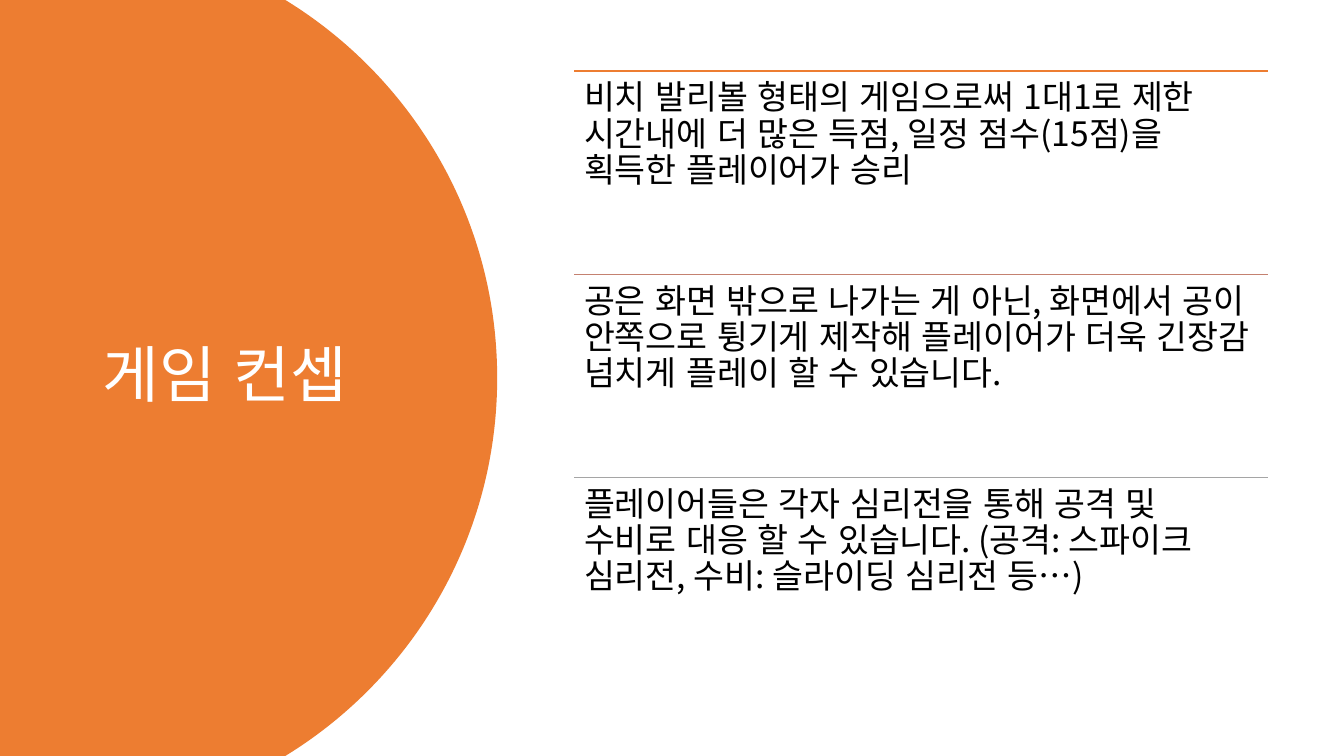
import pptx
import pptx.dml.color
import pptx.enum.lang
import pptx.enum.shapes
import pptx.enum.text
import pptx.oxml.ns
import pptx.util
from lxml import etree

Cm = pptx.util.Cm
RGBColor = pptx.dml.color.RGBColor
qn = pptx.oxml.ns.qn

ORANGE = RGBColor(0xED, 0x7D, 0x31)
CLAY = RGBColor(0xC4, 0x81, 0x70)
GRAY = RGBColor(0xA5, 0xA5, 0xA5)
WHITE = RGBColor(0xFF, 0xFF, 0xFF)
BLACK = RGBColor(0x00, 0x00, 0x00)
FONT = "Noto Sans CJK KR"

HEADING = "게임 컨셉"
CONCEPTS = [
    ("비치 발리볼 형태의 게임으로써 1대1로 제한 시간내에 더 많은 득점, "
     "일정 점수(15점)을 획득한 플레이어가 승리", ORANGE),
    ("공은 화면 밖으로 나가는 게 아닌, 화면에서 공이 안쪽으로 튕기게 제작해 "
     "플레이어가 더욱 긴장감 넘치게 플레이 할 수 있습니다.", CLAY),
    ("플레이어들은 각자 심리전을 통해 공격 및 수비로 대응 할 수 있습니다. "
     "(공격: 스파이크 심리전, 수비: 슬라이딩 심리전 등…)", GRAY),
]

WIDTH, HEIGHT = 33.87, 19.05
UPPER_CURVE = [(7.19, 0), (10.39, 1.96), (12.53, 5.49)]
CURVE_TIP = (12.53, HEIGHT / 2)
LIST_LEFT, LIST_TOP, LIST_WIDTH, ROW_HEIGHT = 14.47, 1.79, 17.48, 5.12
INSET = 0.25


def write(frame, text, size, color):
    """Put one formatted paragraph into a text frame."""
    frame.word_wrap = True
    frame.auto_size = pptx.enum.text.MSO_AUTO_SIZE.NONE
    frame.text = text
    paragraph = frame.paragraphs[0]
    paragraph.alignment = pptx.enum.text.PP_ALIGN.LEFT
    paragraph.line_spacing = 0.9
    paragraph.font.size = pptx.util.Pt(size)
    paragraph.font.color.rgb = color
    paragraph.font.name = FONT
    paragraph.runs[0].font.language_id = pptx.enum.lang.MSO_LANGUAGE_ID.KOREAN
    defaults = paragraph._p.pPr.find(qn("a:defRPr"))
    etree.SubElement(defaults, qn("a:ea"), typeface=FONT)


def add_half_disc(slide):
    """Draw the round orange panel behind the title."""
    lower_curve = [(x, HEIGHT - y) for x, y in reversed(UPPER_CURVE)]
    corners = UPPER_CURVE + [CURVE_TIP] + lower_curve + [(0, HEIGHT)]
    outline = slide.shapes.build_freeform(0, 0)
    outline.add_line_segments([(Cm(x), Cm(y)) for x, y in corners], close=True)
    panel = outline.convert_to_shape()
    segments = list(panel._element.iter(qn("a:lnTo")))
    for first in (1, 4):
        bend, *others = segments[first:first + 3]
        bend.tag = qn("a:cubicBezTo")
        for segment in others:
            bend.append(segment[0])
            segment.getparent().remove(segment)
    panel.shadow.inherit = False
    panel.fill.solid()
    panel.fill.fore_color.rgb = ORANGE
    panel.line.fill.background()
    slide.shapes._spTree.insert(2, panel._element)


def add_concept(slide, top, text, color):
    """Add one ruled statement of the list."""
    rule = slide.shapes.add_connector(
        pptx.enum.shapes.MSO_CONNECTOR.STRAIGHT,
        Cm(LIST_LEFT), Cm(top), Cm(LIST_LEFT + LIST_WIDTH), Cm(top))
    rule.line.color.rgb = color
    rule.line.width = pptx.util.Pt(1)
    etree.SubElement(rule._element.spPr, qn("a:effectLst"))
    statement = slide.shapes.add_textbox(
        Cm(LIST_LEFT), Cm(top), Cm(LIST_WIDTH), Cm(ROW_HEIGHT)).text_frame
    statement.margin_left = statement.margin_right = Cm(INSET)
    statement.margin_top = statement.margin_bottom = Cm(INSET)
    write(statement, text, 24, BLACK)


def main():
    """Build and save the game concept slide."""
    deck = pptx.Presentation()
    deck.slide_width, deck.slide_height = Cm(WIDTH), Cm(HEIGHT)
    slide = deck.slides.add_slide(deck.slide_layouts[5])
    add_half_disc(slide)

    title = slide.shapes.title
    title.left, title.top = Cm(2.34), Cm(1.78)
    title.width, title.height = Cm(8.2), Cm(15.47)
    title.text_frame.vertical_anchor = pptx.enum.text.MSO_ANCHOR.MIDDLE
    write(title.text_frame, HEADING, 44, WHITE)

    for row, (text, color) in enumerate(CONCEPTS):
        add_concept(slide, LIST_TOP + row * ROW_HEIGHT, text, color)
    deck.save("out.pptx")


if __name__ == "__main__":
    main()
